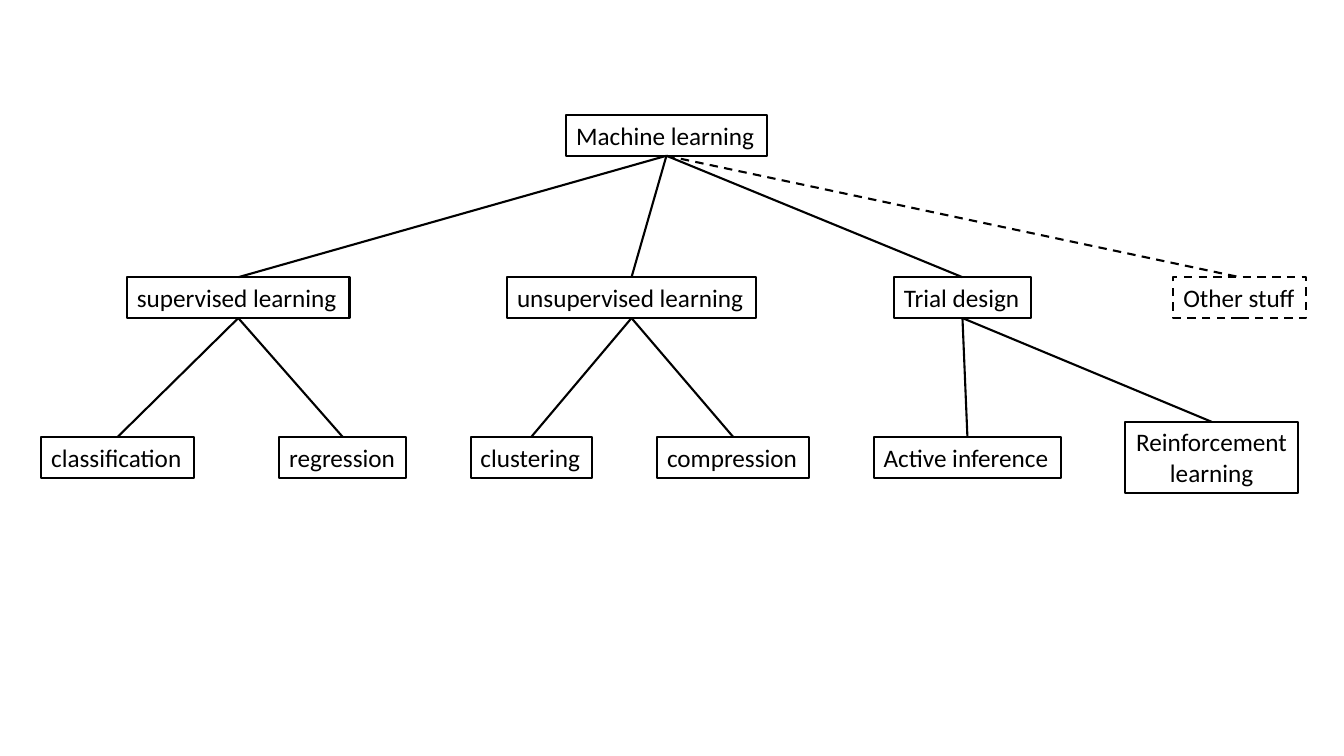
from pptx import Presentation, util as u
from pptx.dml.color import RGBColor
from pptx.enum import dml, shapes, text
from pptx.oxml.ns import qn
from lxml import etree


def color(value):
    return RGBColor.from_string(value)


def style_line(line, dashed):
    line.color.rgb = color("000000")
    line.width = u.Pt(1.5)
    if dashed:
        line.dash_style = dml.MSO_LINE.DASH


deck = Presentation()
deck.slide_width, deck.slide_height = u.Cm(33.87), u.Cm(19.05)
page = deck.slides.add_slide(deck.slide_layouts[6])

# Tree levels: vertical centre of each row, in cm
ROOT, BRANCH, LEAF = 3.41, 7.5, 11.53

# Label, parent, row centre, left, width (cm)
topics = [
    ("Machine learning", None, ROOT, 14.27, 5.05),
    ("supervised learning", "Machine learning", BRANCH, 3.2, 5.61),
    ("unsupervised learning", "Machine learning", BRANCH, 12.78, 6.27),
    ("Trial design", "Machine learning", BRANCH, 22.53, 3.45),
    ("Other stuff", "Machine learning", BRANCH, 29.57, 3.35),
    ("classification", "supervised learning", LEAF, 1.04, 3.84),
    ("regression", "supervised learning", LEAF, 7.04, 3.2),
    ("clustering", "unsupervised learning", LEAF, 11.86, 3.05),
    ("compression", "unsupervised learning", LEAF, 16.56, 3.84),
    ("Active inference", "Trial design", LEAF, 22.02, 4.72),
    ("Reinforcement\nlearning", "Trial design", LEAF, 28.35, 4.37),
]

boxes = {}
for label, parent, centre, left, width in topics:
    dashed = label == "Other stuff"
    two_lines = "\n" in label

    # Topic box
    height = 1.8 if two_lines else 1.03
    box = page.shapes.add_textbox(
        u.Cm(left), u.Cm(centre - height / 2), u.Cm(width), u.Cm(height))
    style_line(box.line, dashed)
    frame = box.text_frame
    frame.text = label
    frame.word_wrap = False
    frame.auto_size = text.MSO_AUTO_SIZE.SHAPE_TO_FIT_TEXT
    for para in frame.paragraphs:
        if two_lines:
            para.alignment = text.PP_ALIGN.CENTER
        for span in para.runs:
            span.font.name = "Calibri"
            span.font.size = u.Pt(18)
            span.font.color.rgb = color("000000")
    boxes[label] = box

    # Link from the parent's bottom to this box's top
    if parent:
        link = page.shapes.add_connector(shapes.MSO_CONNECTOR.STRAIGHT, 0, 0, 0, 0)
        link.begin_connect(boxes[parent], 2)
        link.end_connect(box, 0)
        style_line(link.line, dashed)
        etree.SubElement(link._element.spPr, qn("a:effectLst"))

deck.save("out.pptx")
